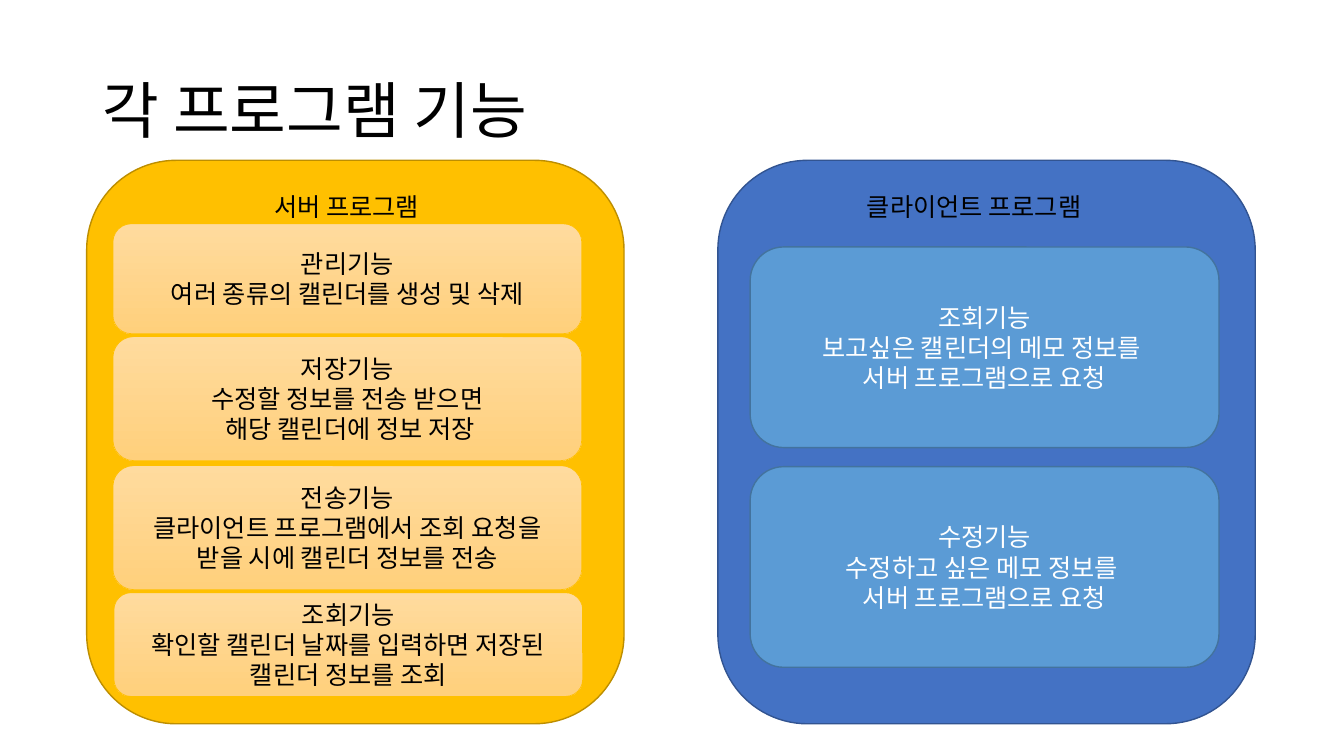
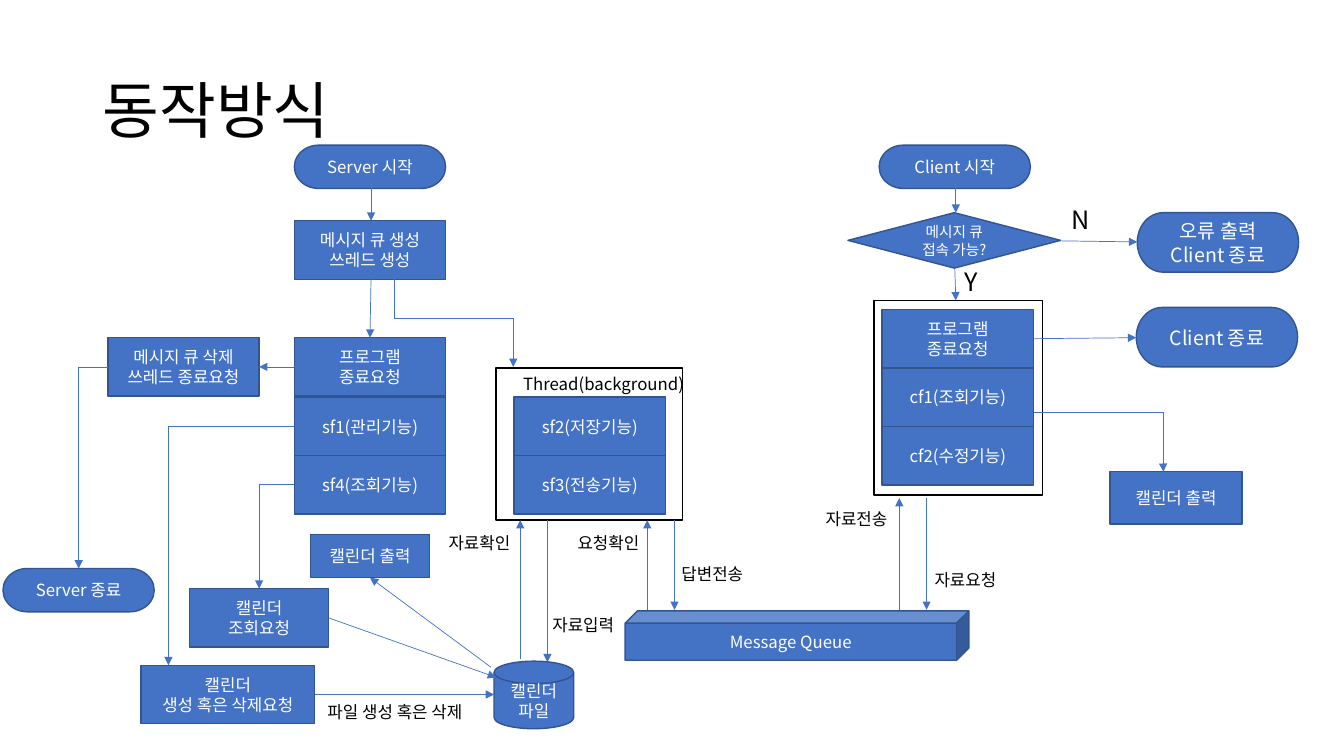
from lxml import etree
from pptx import Presentation
from pptx import util as u
from pptx.dml import color
from pptx.enum import shapes, text
from pptx.oxml import ns

PX = 9144  # 100 px to the inch
FONT = "Noto Sans CJK KR"
C = {
    "black": "000000", "white": "FFFFFF",
    "blue": "4472C4", "navy": "325491",
    "sky": "5B9BD5", "steel": "43739E",
    "gold": "FFC000", "bronze": "BD8E00",
    "sand": "FFDB9E", "amber": "FFD07C",
}
G = shapes.MSO_SHAPE
STEP, TERM = G.FLOWCHART_PROCESS, G.FLOWCHART_TERMINATOR
CENTER = text.PP_ALIGN.CENTER

# Format values
BODY = {"word_wrap": True, "vertical_anchor": text.MSO_ANCHOR.MIDDLE}
LABEL = {"word_wrap": False, "auto_size": text.MSO_AUTO_SIZE.SHAPE_TO_FIT_TEXT}
BLUE_BOX = {"fill": "blue", "line": "navy"}
GOLD_BOX = {"fill": "gold", "line": "bronze"}
SKY_CARD = {"fill": "sky", "line": "steel"}
SAND_CARD = {"fill": ("sand", "amber"), "line": "gold", "width": 0.5, "ink": "black"}
FRAME = {"fill": None, "line": "black"}


def rgb(name):
    return color.RGBColor.from_string(C[name])


def px(*values):
    return [u.Emu(round(v * PX)) for v in values]


def write(tf, lines, size, ink, frame, **para):
    for k, v in frame.items():
        setattr(tf, k, v)
    for i, line in enumerate(lines):
        p = tf.add_paragraph() if i else tf.paragraphs[0]
        p.text = line
        for k, v in para.items():
            setattr(p, k, v)
        for r in p.runs:
            for k, v in {"size": u.Pt(size), "name": FONT}.items():
                setattr(r.font, k, v)
            r.font.color.rgb = rgb(ink)
            etree.SubElement(r.font._element, ns.qn("a:ea"), typeface=FONT)


class Region:
    """Places parts relative to its own top left corner."""

    def __init__(self, s, x, y):
        self.s, self.x, self.y = s, x, y

    def node(self, kind, x, y, w, h, lines=(), size=12,
             fill="blue", line="navy", width=1, ink="white"):
        sp = self.s.shapes.add_shape(kind, *px(self.x + x, self.y + y, w, h))
        sp.shadow.inherit = False
        if fill is None:
            sp.fill.background()
        elif isinstance(fill, tuple):
            sp.fill.gradient()
            sp.fill.gradient_angle = 270
            for stop, name in zip(sp.fill.gradient_stops, fill):
                stop.color.rgb = rgb(name)
        else:
            sp.fill.solid()
            sp.fill.fore_color.rgb = rgb(fill)
        sp.line.color.rgb = rgb(line)
        sp.line.width = u.Pt(width)
        write(sp.text_frame, lines, size, ink, BODY, alignment=CENTER)

    def step(self, x, y, *lines):
        self.node(STEP, x, y, 150, 58, lines)

    def stack(self, x, y, *steps):
        for i, lines in enumerate(steps):
            self.step(x, y + 58 * i, *lines)

    def label(self, x, y, w, line, size=12):
        tb = self.s.shapes.add_textbox(
            *px(self.x + x, self.y + y, w, 40 if size > 12 else 30))
        write(tb.text_frame, [line], size, "black", LABEL)

    def arrow(self, x1, y1, x2, y2, kind=shapes.MSO_CONNECTOR.STRAIGHT):
        c = self.s.shapes.add_connector(
            kind, *px(self.x + x1, self.y + y1, self.x + x2, self.y + y2))
        c.line.color.rgb = rgb("blue")
        c.line.width = u.Pt(0.5)
        pr = c._element.spPr
        etree.SubElement(pr.find(ns.qn("a:ln")), ns.qn("a:tailEnd"), type="triangle")
        etree.SubElement(pr, ns.qn("a:effectLst"))
        return pr

    def elbow(self, x, y, w, h, prst="bentConnector3", adj=None, **turn):
        pr = self.arrow(x, y, x + w, y + h, shapes.MSO_CONNECTOR.ELBOW)
        for k, v in turn.items():
            pr.find(ns.qn("a:xfrm")).set(k, v)
        geom = pr.find(ns.qn("a:prstGeom"))
        geom.set("prst", prst)
        if adj is not None:
            etree.SubElement(geom.find(ns.qn("a:avLst")), ns.qn("a:gd"),
                             name="adj1", fmla=f"val {adj}")

    def left_down(self, x, y, w, h):
        self.elbow(x, y, w, h, "bentConnector2", rot="10800000", flipV="1")


def new_slide(prs, title):
    s = prs.slides.add_slide(prs.slide_layouts[6])
    tb = s.shapes.add_textbox(*px(92, 40, 1150, 145))
    write(tb.text_frame, [title], 44, "black", BODY, line_spacing=0.9)
    return s


# Slide 1: programs and their functions
def program_panel(s, x, y, look, heading, head_at, card_look, cards):
    g = Region(s, x, y)
    g.node(G.ROUNDED_RECTANGLE, 0, 0, 533, 559, **look)
    g.label(*head_at, heading, 18)
    for cx, cy, h, *lines in cards:
        g.node(G.ROUNDED_RECTANGLE, cx, cy, 465, h, lines, 18, **card_look)


def functions_slide(prs):
    s = new_slide(prs, "각 프로그램 기능")
    program_panel(s, 86, 159, GOLD_BOX, "서버 프로그램", (176, 26, 181), SAND_CARD, [
        (26, 63, 109, "관리기능", "여러 종류의 캘린더를 생성 및 삭제"),
        (26, 175, 123, "저장기능", "수정할 정보를 전송 받으면\v 해당 캘린더에 정보 저장"),
        (26, 303, 123, "전송기능",
         "클라이언트 프로그램에서 조회 요청을 받을 시에 캘린더 정보를 전송"),
        (27, 429, 103, "조회기능",
         "확인할 캘린더 날짜를 입력하면 저장된 캘린더 정보를 조회"),
    ])
    program_panel(s, 712, 159, BLUE_BOX, "클라이언트 프로그램", (138, 26, 256), SKY_CARD, [
        (32, 86, 199, "조회기능",
         "보고싶은 캘린더의 메모 정보를 \v서버 프로그램으로 요청"),
        (32, 304, 199, "수정기능",
         "수정하고 싶은 메모 정보를 \v서버 프로그램으로 요청"),
    ])


# Slide 2: flow of the server and the client
def server_flow(s, x, y):
    g = Region(s, x, y)
    g.node(TERM, 289, 0, 150, 43, ["Server 시작"])
    g.step(289, 75, "메시지 큐 생성", "쓰레드 생성")
    g.stack(289, 250, ["sf1(관리기능)"], ["sf4(조회기능)"])
    g.step(289, 191, "프로그램", "종료요청")
    g.step(104, 191, "메시지 큐 삭제", "쓰레드 종료요청")
    g.node(TERM, 0, 420, 150, 43, ["Server 종료"])
    g.arrow(365, 42, 365, 75)
    g.arrow(365, 132, 364, 191)
    g.arrow(289, 220, 254, 220)
    g.left_down(75, 220, 29, 200)
    g.left_down(164, 279, 125, 237)
    g.left_down(254, 337, 35, 103)
    # Down, right and down again to the thread
    g.elbow(403, 117, 88, 118, adj=45455, rot="16200000", flipH="1")


def thread_box(s, x, y):
    g = Region(s, x, y)
    g.stack(18, 29, ["sf2(저장기능)"], ["sf3(전송기능)"])
    g.node(G.RECTANGLE, 0, 0, 185, 151, **FRAME)
    g.label(17, 1, 185, "Thread(background)")
    # Calendar file link
    g.arrow(24, 289, 24, 151)
    g.arrow(51, 151, 51, 292)
    g.label(-57, 159, 91, "자료확인")
    g.label(46, 240, 91, "자료입력")


def calendar_store(s, x, y):
    g = Region(s, x, y)
    g.node(STEP, 168, 0, 118, 43, ["캘린더 출력"])
    g.node(STEP, 48, 54, 138, 58, ["캘린더", "조회요청"])
    g.node(STEP, 0, 130, 172, 58, ["캘린더", "생성 혹은 삭제요청"])
    g.node(G.FLOWCHART_MAGNETIC_DISK, 350, 126, 79, 67, ["캘린더", "파일"])
    g.arrow(186, 83, 352, 142)
    g.arrow(347, 132, 227, 43)
    g.arrow(172, 159, 350, 159)
    g.label(175, 161, 173, "파일 생성 혹은 삭제")


def message_queue(s, x, y):
    g = Region(s, x, y)
    g.node(G.CUBE, 0, 0, 341, 49, ["Message Queue"])
    for ax, top in ((22, -90), (272, -112)):
        g.arrow(ax, -1, ax, top)
        g.arrow(ax + 27, top, ax + 27, -1)
    for lx, ly, line in ((-57, -82, "요청확인"), (46, -52, "답변전송"),
                         (189, -106, "자료전송"), (297, -46, "자료요청")):
        g.label(lx, ly, 91, line)


def client_flow(s, x, y):
    g = Region(s, x, y)
    g.node(TERM, 31, 0, 150, 43, ["Client 시작"])
    g.node(G.FLOWCHART_DECISION, 0, 67, 211, 55, ["메시지 큐", "접속 가능?"], 10.5)
    g.node(G.RECTANGLE, 26, 154, 167, 193, **FRAME)
    g.stack(34, 163, ["프로그램", "종료요청"], ["cf1(조회기능)"], ["cf2(수정기능)"])
    g.node(TERM, 287, 67, 160, 59, ["오류 출력", "Client 종료"], 14)
    g.node(TERM, 286, 161, 160, 59, ["Client 종료"], 14)
    g.node(STEP, 260, 324, 131, 52, ["캘린더 출력"])
    g.arrow(107, 42, 107, 67)
    g.arrow(106, 122, 107, 154)
    g.arrow(212, 95, 287, 96)
    g.arrow(185, 192, 286, 191)
    g.elbow(185, 265, 128, 59, adj=99700)
    g.label(106, 115, 34, "Y", 18)
    g.label(212, 54, 39, "N", 18)


def flow_slide(prs):
    s = new_slide(prs, "동작방식")
    server_flow(s, 3, 144)
    thread_box(s, 492, 365)
    calendar_store(s, 140, 530)
    message_queue(s, 620, 606)
    client_flow(s, 841, 144)


def main():
    prs = Presentation()
    prs.slide_width, prs.slide_height = px(1333, 750)
    functions_slide(prs)
    flow_slide(prs)
    prs.save("out.pptx")


if __name__ == "__main__":
    main()
